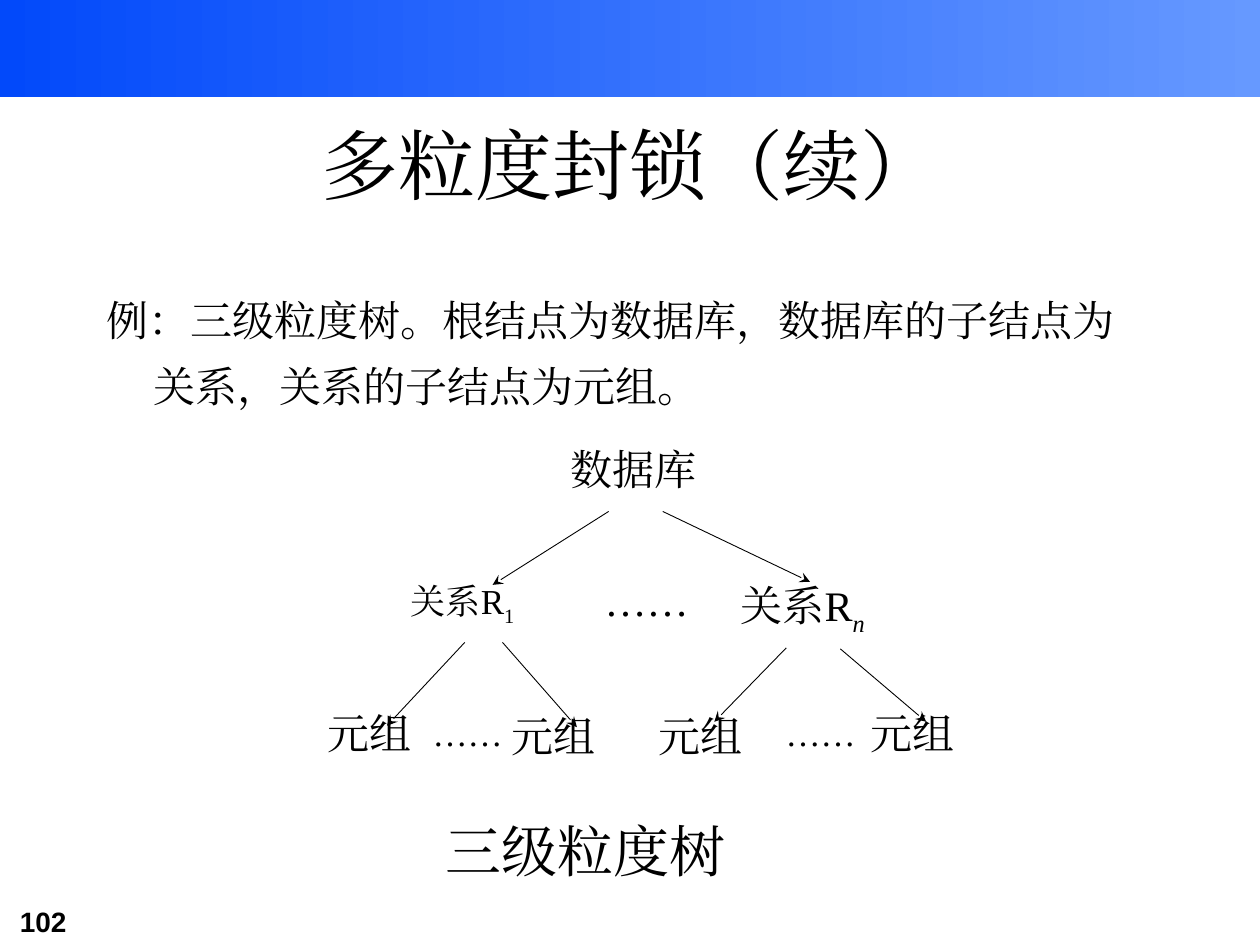
from dataclasses import dataclass

from lxml import etree
from pptx import Presentation
from pptx.dml.color import RGBColor
from pptx.enum.shapes import MSO_CONNECTOR, MSO_SHAPE
from pptx.enum.text import MSO_ANCHOR, MSO_AUTO_SIZE, PP_ALIGN
from pptx.oxml.ns import qn
from pptx.util import Cm, Pt

STRAIGHT = MSO_CONNECTOR.STRAIGHT
RECTANGLE = MSO_SHAPE.RECTANGLE
LEFT, CENTER, JUSTIFY = PP_ALIGN.LEFT, PP_ALIGN.CENTER, PP_ALIGN.JUSTIFY
TOP, MIDDLE = MSO_ANCHOR.TOP, MSO_ANCHOR.MIDDLE
NO_AUTOFIT = MSO_AUTO_SIZE.NONE


@dataclass(frozen=True)
class Theme:
    ink: RGBColor = RGBColor(0, 0, 0)
    bar_start: RGBColor = RGBColor(0x02, 0x49, 0xFA)
    bar_end: RGBColor = RGBColor(0x66, 0x99, 0xFF)
    text_font: str = "Times New Roman"
    number_font: str = "Arial"
    title: int = 44
    caption: int = 32
    body: int = 24
    small: int = 20
    number: int = 16
    line: float = 0.5


theme = Theme()


def place(shape, left, top, width, height):
    shape.left, shape.top = Cm(left), Cm(top)
    shape.width, shape.height = Cm(width), Cm(height)


def write(shape, text, size, font=theme.text_font, align=LEFT, spacing=1.0,
          anchor=TOP, subscript="", italic=False):
    frame = shape.text_frame
    frame.word_wrap = True
    frame.auto_size = NO_AUTOFIT
    frame.vertical_anchor = anchor
    frame.text = text
    paragraph = frame.paragraphs[0]
    paragraph.alignment = align
    paragraph.line_spacing = spacing
    paragraph.space_before = Pt(0)
    if subscript:
        run = paragraph.add_run()
        run.text = subscript
        run.font.italic = italic
        run._r.get_or_add_rPr().set("baseline", "-25000")
    for run in paragraph.runs:
        run.font.size = Pt(size)
        run.font.color.rgb = theme.ink
        run.font.name = font
        east_asian = etree.Element(qn("a:ea"), typeface=font)
        run._r.rPr.find(qn("a:latin")).addnext(east_asian)
    return paragraph


presentation = Presentation()
presentation.slide_width = Cm(25.4)
presentation.slide_height = Cm(19.05)
slide = presentation.slides.add_slide(presentation.slide_layouts[1])
shapes = slide.shapes

bar = shapes.add_shape(RECTANGLE, 0, 0, presentation.slide_width, Cm(1.96))
bar.shadow.inherit = False
bar.line.fill.background()
bar.fill.gradient()
bar.fill.gradient_angle = 0
for stop, color in zip(bar.fill.gradient_stops, (theme.bar_start, theme.bar_end)):
    stop.color.rgb = color
shapes.title._element.addprevious(bar._element)

number = shapes.add_textbox(Cm(0.15), Cm(18.11), Cm(3.1), Cm(0.94))
write(number, "102", theme.number, theme.number_font).runs[0].font.bold = True

place(shapes.title, 1.9, 1.7, 21.59, 3.18)
write(shapes.title, "多粒度封锁（续）", theme.title, align=CENTER, anchor=MIDDLE)

body = slide.placeholders[1]
place(body, 1.9, 5.51, 21.59, 11.43)
paragraph = write(body, "例：三级粒度树。根结点为数据库，数据库的子结点为关系，关系的子结点为元组。",
                  theme.body, spacing=1.3)
properties = paragraph._p.get_or_add_pPr()
properties.set("marL", str(Cm(0.95)))
properties.set("indent", str(-Cm(0.95)))
etree.SubElement(properties, qn("a:buNone"))

tree = shapes.add_group_shape().shapes

arrows = [
    (12.27, 10.31, 9.93, 11.79),
    (13.36, 10.31, 16.33, 11.73),
    (9.37, 12.95, 7.8, 14.63),
    (10.13, 12.95, 11.63, 14.66),
    (15.85, 13.06, 14.4, 14.55),
    (16.94, 13.08, 18.67, 14.55),
]
for ends in arrows:
    arrow = tree.add_connector(STRAIGHT, *map(Cm, ends))
    arrow.line.color.rgb = theme.ink
    arrow.line.width = Pt(theme.line)
    etree.SubElement(arrow.line._get_or_add_ln(), qn("a:tailEnd"), type="stealth")
    etree.SubElement(arrow._element.spPr, qn("a:effectLst"))

nodes = [
    ("数据库", "", theme.body, 11.25, 8.89, 3.66, 1.63),
    ("关系R", "n", theme.body, 14.68, 11.56, 3.71, 1.45),
    ("关系R", "1", theme.small, 8.03, 11.56, 4.27, 2.31),
    ("元组", "", theme.body, 6.35, 14.2, 2.9, 1.5),
    ("元组", "", theme.body, 17.3, 14.2, 3.66, 1.68),
    ("元组", "", theme.body, 10.06, 14.27, 2.9, 1.5),
    ("元组", "", theme.body, 13.03, 14.27, 2.9, 1.5),
]
for text, subscript, size, *area in nodes:
    node = tree.add_textbox(*map(Cm, area))
    write(node, text, size, spacing=0.96, subscript=subscript, italic=subscript == "n")

ellipses = [
    (theme.body, 0.86, 11.94, 11.61),
    (theme.small, 0.96, 15.59, 14.27),
    (theme.small, 0.96, 8.47, 14.27),
]
for size, spacing, left, top in ellipses:
    ellipsis = tree.add_textbox(Cm(left), Cm(top), Cm(3.71), Cm(1.22))
    write(ellipsis, "……", size, align=JUSTIFY, spacing=spacing)

caption = shapes.add_textbox(Cm(8.74), Cm(16.33), Cm(8.05), Cm(1.63))
write(caption, "三级粒度树", theme.caption)

presentation.save("out.pptx")
